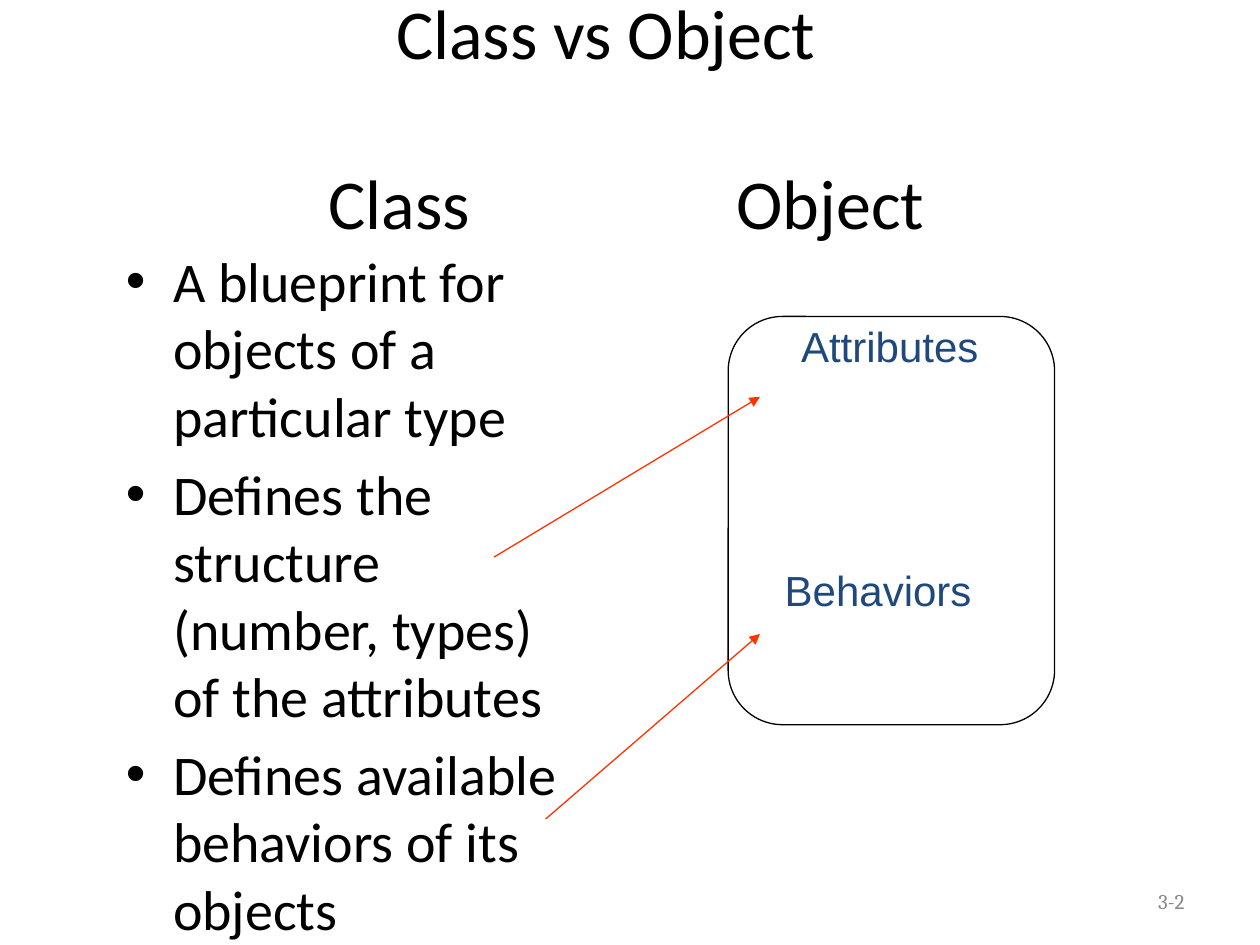
from lxml import etree
from pptx import Presentation
from pptx.dml.color import RGBColor
from pptx.enum.shapes import MSO_CONNECTOR as CONN, MSO_SHAPE as SHAPE
from pptx.enum.text import MSO_ANCHOR as ANCHOR, PP_ALIGN as ALIGN
from pptx.oxml.ns import qn
from pptx.util import Cm, Pt

BLACK, BLUE, RED, GREY = "000000", "1F497D", "FF3300", "898989"


def color(hex_code):
    return RGBColor.from_string(hex_code)


def add_text_box(s, box, anchor=ANCHOR.TOP):
    tf = s.shapes.add_textbox(*map(Cm, box)).text_frame
    tf.word_wrap = True
    tf.vertical_anchor = anchor
    return tf


def add_run(p, text, size, font, hex_code):
    r = p.add_run()
    r.text = text
    r.font.size = Pt(size)
    r.font.name = font
    r.font.color.rgb = color(hex_code)


def add_title(s, box):
    """Centred title, with the two column headings set on tab stops."""
    tf = add_text_box(s, box, ANCHOR.MIDDLE)
    p = tf.paragraphs[0]
    p.alignment = ALIGN.CENTER
    p._p.get_or_add_pPr().set("marR", str(Cm(0.97)))
    add_run(p, "Class vs Object", 40, "Calibri", BLACK)

    p = tf.add_paragraph()
    p.alignment = ALIGN.LEFT
    p.space_before = Pt(48.8)
    tabs = etree.SubElement(p._p.get_or_add_pPr(), qn("a:tabLst"))
    for pos in (5.1, 13.33):
        etree.SubElement(tabs, qn("a:tab"), pos=str(Cm(pos)), algn="l")
    add_run(p, "\tClass\tObject", 40, "Calibri", BLACK)


def add_class_list(s, box, items):
    """Bulleted list with a hanging indent."""
    tf = add_text_box(s, box)
    for i, item in enumerate(items):
        p = tf.add_paragraph() if i else tf.paragraphs[0]
        p.space_before = Pt(6.4)
        pPr = p._p.get_or_add_pPr()
        pPr.set("marL", str(Cm(0.95)))
        pPr.set("indent", str(Cm(-0.95)))
        etree.SubElement(pPr, qn("a:buFont"), typeface="Arial")
        etree.SubElement(pPr, qn("a:buChar"), char="•")
        add_run(p, item, 32, "Calibri", BLACK)


def add_object(s, box, labels):
    """Rounded outline with labels placed relative to its corner."""
    sp = s.shapes.add_shape(SHAPE.ROUNDED_RECTANGLE, *map(Cm, box))
    sp.adjustments[0] = 0.167
    sp.shadow.inherit = False
    sp.fill.background()
    sp.line.color.rgb = color(BLACK)
    sp.line.width = Pt(0.75)
    left, top = box[:2]
    for text, dx, dy, width in labels:
        tf = add_text_box(s, (left + dx, top + dy, width, 1.27))
        add_run(tf.paragraphs[0], text, 24, "Arial", BLUE)


def add_arrow(s, start, end):
    cxn = s.shapes.add_connector(CONN.STRAIGHT, *map(Cm, start + end))
    cxn.line.color.rgb = color(RED)
    cxn.line.width = Pt(0.75)
    etree.SubElement(cxn.line._get_or_add_ln(), qn("a:tailEnd"), type="triangle")
    etree.SubElement(cxn._element.spPr, qn("a:effectLst"))


def add_page_number(s, box):
    p = add_text_box(s, box, ANCHOR.MIDDLE).paragraphs[0]
    p.alignment = ALIGN.RIGHT
    add_run(p, "3-2", 12, "Cambria", GREY)


def main():
    prs = Presentation()
    prs.slide_width, prs.slide_height = Cm(25.4), Cm(19.05)
    s = prs.slides.add_slide(prs.slide_layouts[6])

    add_page_number(s, (18.2, 17.66, 5.93, 1.01))
    add_title(s, (1.27, 0.76, 22.86, 3.18))
    add_class_list(s, (2.29, 4.85, 9.7, 12.29), [
        "A blueprint for objects of a particular type",
        "Defines the structure (number, types) of the attributes",
        "Defines available behaviors of its objects",
    ])
    add_object(s, (14.68, 6.38, 6.58, 8.23), [
        ("Attributes", 1.22, -0.05, 4.17),
        ("Behaviors", 0.89, 4.87, 4.85),
    ])

    # Arrows from the list to the parts of the object
    add_arrow(s, (11, 16.51), (15.32, 12.78))
    add_arrow(s, (9.96, 11.23), (15.32, 8))

    prs.save("out.pptx")


if __name__ == "__main__":
    main()
